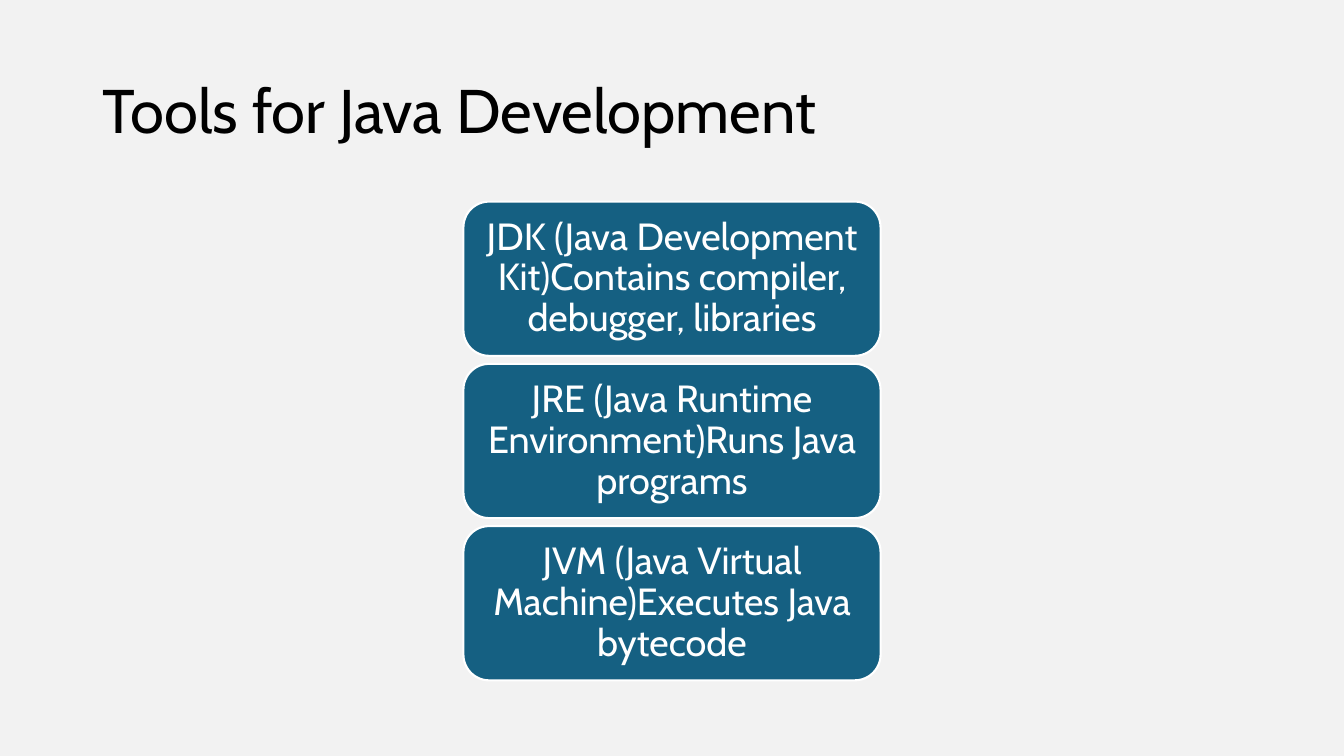
"""Build the slide on tools for Java development."""
from pptx import Presentation
from pptx.dml.color import RGBColor
from pptx.enum.shapes import MSO_SHAPE
from pptx.enum.text import MSO_ANCHOR, MSO_AUTO_SIZE, PP_ALIGN
from pptx.util import Pt

ROUNDED = MSO_SHAPE.ROUNDED_RECTANGLE
MIDDLE = MSO_ANCHOR.MIDDLE
NO_AUTOFIT = MSO_AUTO_SIZE.NONE
LEFT, CENTER = PP_ALIGN.LEFT, PP_ALIGN.CENTER

HEADING = "Tools for Java Development"
TOOLS = [
    "JDK (Java Development Kit)Contains compiler, debugger, libraries",
    "JRE (Java Runtime Environment)Runs Java programs",
    "JVM (Java Virtual Machine)Executes Java bytecode",
]

FONT = "Cabin"
BACKGROUND, BLUE, WHITE, BLACK = "F2F2F2", "156082", "FFFFFF", "000000"
SLIDE_W, SLIDE_H = 960, 540
HEADING_BOX = {"left": 66, "top": 28.8, "width": 828, "height": 104.4}
TOOL_W, TOOL_H, TOOL_GAP, TOOLS_TOP = 298, 110.2, 5.7, 144
TOOL_MARGINS = {"margin_left": 8, "margin_right": 8, "margin_top": 4, "margin_bottom": 4}


def paint(color_format, color):
    color_format.rgb = RGBColor.from_string(color)


def write(shape, text, size, color, alignment):
    frame = shape.text_frame
    frame.text = text
    for name, value in {"word_wrap": True, "auto_size": NO_AUTOFIT, "vertical_anchor": MIDDLE}.items():
        setattr(frame, name, value)
    paragraph = frame.paragraphs[0]
    for name, value in {"alignment": alignment, "line_spacing": 0.9}.items():
        setattr(paragraph, name, value)
    font = paragraph.runs[0].font
    for name, value in {"name": FONT, "size": Pt(size)}.items():
        setattr(font, name, value)
    paint(font.color, color)


def add_tool(slide, index, text):
    top = TOOLS_TOP + index * (TOOL_H + TOOL_GAP)
    tool = slide.shapes.add_shape(
        ROUNDED, Pt((SLIDE_W - TOOL_W) / 2), Pt(top), Pt(TOOL_W), Pt(TOOL_H))
    tool.shadow.inherit = False
    tool.fill.solid()
    paint(tool.fill.fore_color, BLUE)
    paint(tool.line.color, WHITE)
    tool.line.width = Pt(1.5)
    write(tool, text, 27, WHITE, CENTER)
    for name, value in TOOL_MARGINS.items():
        setattr(tool.text_frame, name, Pt(value))


def main():
    deck = Presentation()
    deck.slide_width, deck.slide_height = Pt(SLIDE_W), Pt(SLIDE_H)
    slide = deck.slides.add_slide(deck.slide_layouts.get_by_name("Title Only"))
    slide.background.fill.solid()
    paint(slide.background.fill.fore_color, BACKGROUND)

    heading = slide.shapes.title
    for name, value in HEADING_BOX.items():
        setattr(heading, name, Pt(value))
    write(heading, HEADING, 44, BLACK, LEFT)

    for index, text in enumerate(TOOLS):
        add_tool(slide, index, text)
    deck.save("out.pptx")


if __name__ == "__main__":
    main()
